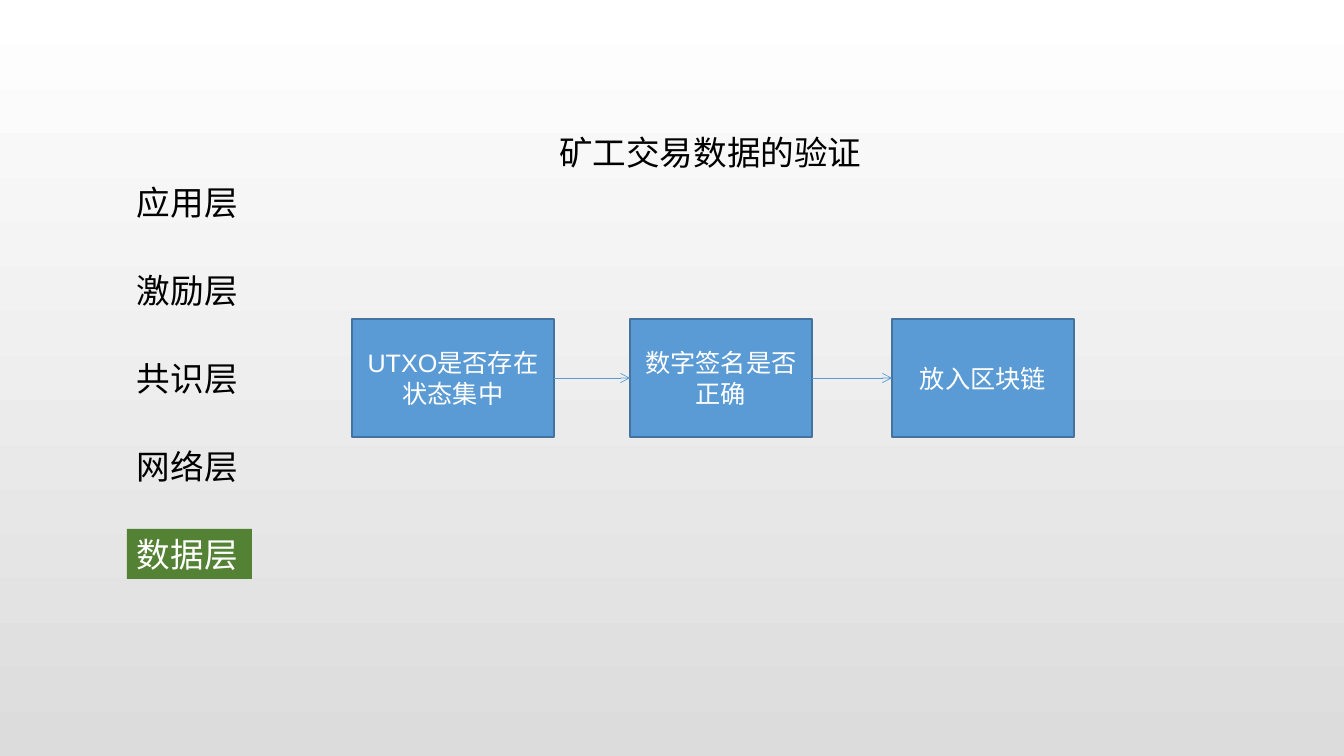
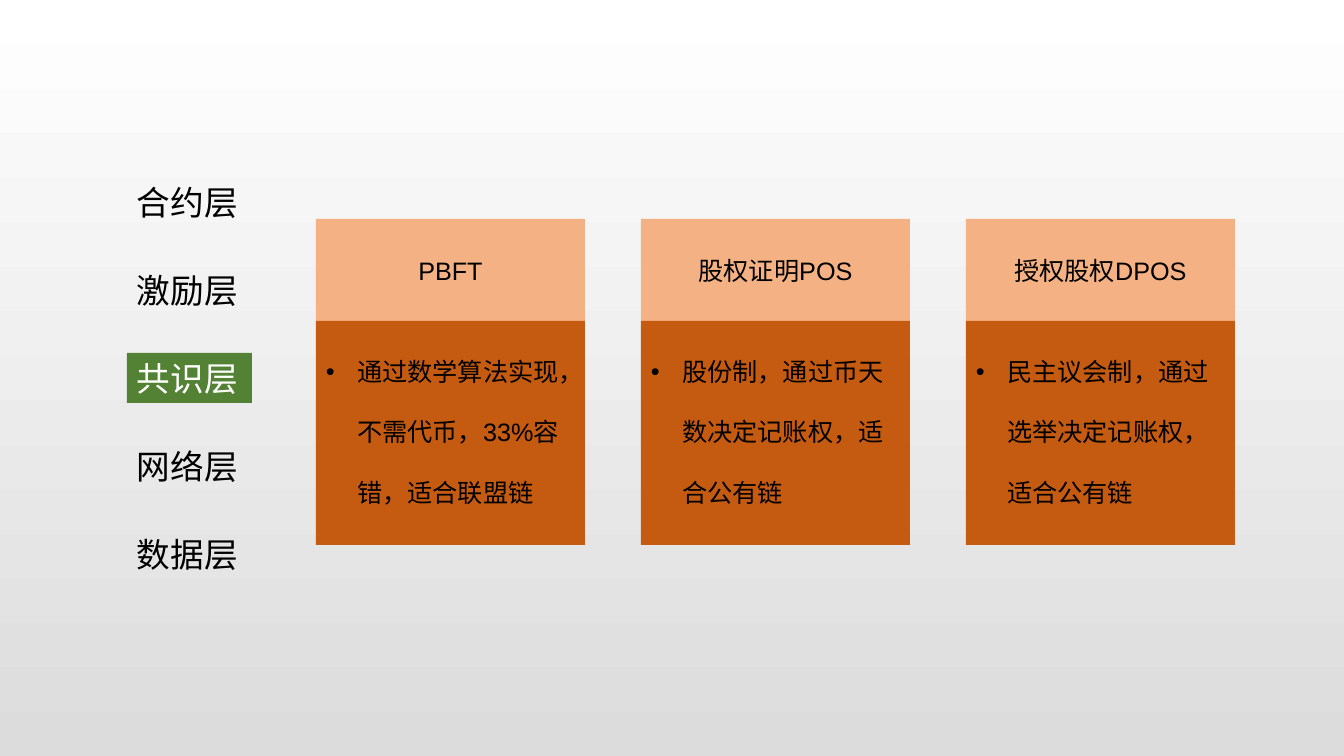
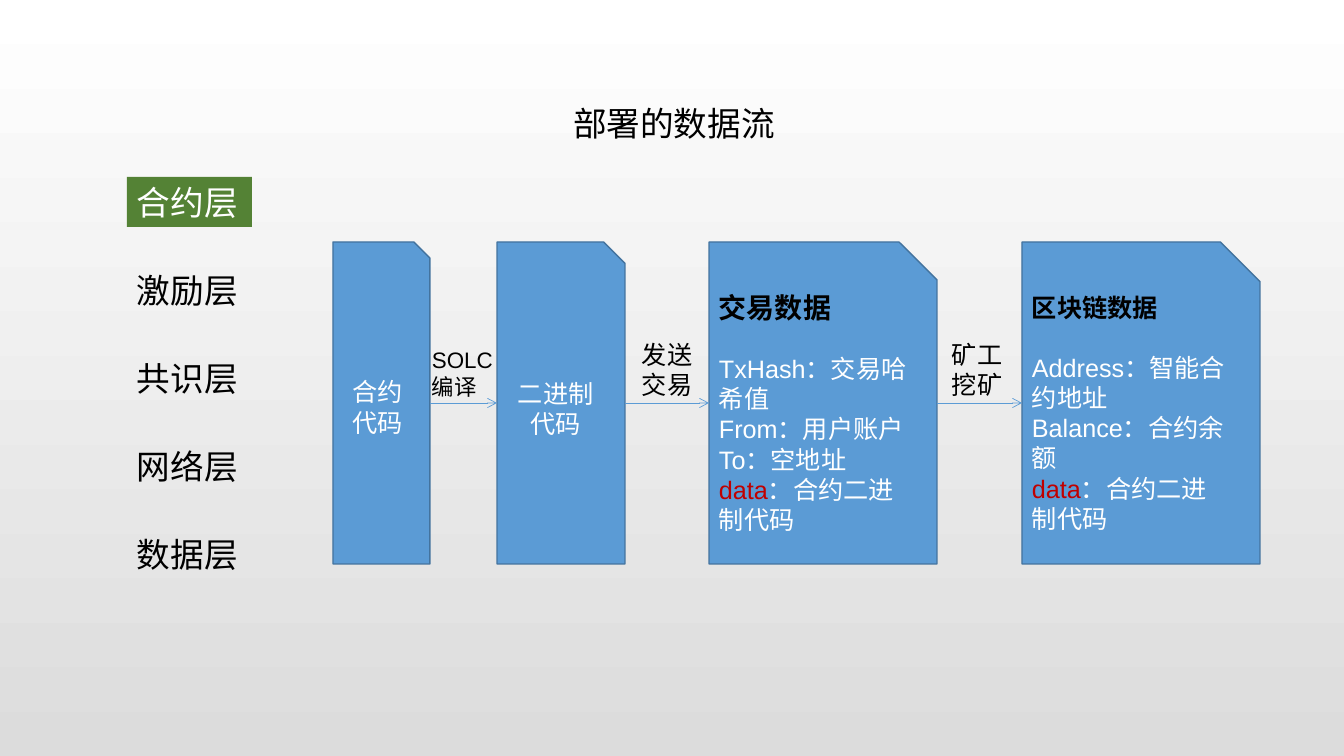
"""Build three slides on the layers of a blockchain."""
from itertools import pairwise

from pptx import Presentation
from pptx.dml.color import RGBColor as Rgb
from pptx.enum.shapes import MSO_CONNECTOR as Link, MSO_SHAPE as Kind
from pptx.enum.text import MSO_ANCHOR as Anchor, MSO_AUTO_SIZE as Auto, PP_ALIGN as Align
from pptx.oxml.ns import qn
from pptx.util import Inches, Pt

PX = Inches(1) / 100.8
WHITE = Rgb(0xFF, 0xFF, 0xFF)
BLACK = Rgb(0, 0, 0)
GREY = Rgb(0xDC, 0xDC, 0xDC)
GREEN = Rgb(0x54, 0x82, 0x35)
BLUE = Rgb(0x5B, 0x9B, 0xD5)
NAVY = Rgb(0x43, 0x73, 0x9E)
PEACH = Rgb(0xF4, 0xB1, 0x83)
RUST = Rgb(0xC5, 0x5A, 0x11)
RED = Rgb(0xC0, 0, 0)
LATIN, HAN = "Arial", "Noto Sans CJK SC"

BASE = ["激励层", "共识层", "网络层", "数据层"]
CHECK = {
    "title": ("矿工交易数据的验证", (549, 127, 489, 50), HAN),
    "top": "应用层", "active": "数据层",
}
VOTE = {"top": "合约层", "active": "共识层"}
DEPLOY = {
    "title": ("部署的数据流", (563, 98, 335, 50), LATIN),
    "top": "合约层", "active": "合约层",
}
STEPS = [
    (352, 202, "UTXO是否存在状态集中"),
    (630, 182, "数字签名是否正确"),
    (892, 182, "放入区块链"),
]
CARDS = [
    ("PBFT", "通过数学算法实现，不需代币，33%容错，适合联盟链"),
    ("股权证明POS", "股份制，通过币天数决定记账权，适合公有链"),
    ("授权股权DPOS", "民主议会制，通过选举决定记账权，适合公有链"),
]
CODE = [("data", {"color": RED}), ("：合约二进制代码", {})]
FILES = [
    (333, 97, "合约代码"),
    (497, 128, "二进制代码"),
    (709, 228, [
        [("交易数据", {"size": 20, "bold": True, "color": BLACK})],
        "TxHash：交易哈希值", "From：用户账户", "To：空地址", CODE]),
    (1022, 238, [
        [("区块链数据", {"bold": True, "color": BLACK})],
        "Address：智能合约地址", "Balance：合约余额", CODE]),
]
NOTES = [
    ((422, 341, 84, 65), "SOLC编译", 16),
    ((632, 334, 81, 72), "发送交易", 18),
    ((942, 334, 86, 72), "矿工挖矿", 18),
]


def scale(*nums):
    return [round(n * PX) for n in nums]


def style(font, size=18, color=BLACK, name=LATIN, bold=False):
    for key, val in {"size": Pt(size), "name": name, "bold": bold}.items():
        setattr(font, key, val)
    font.color.rgb = color


def write(frame, text, align=Align.LEFT, anchor=Anchor.TOP, **form):
    frame.word_wrap = True
    frame.auto_size = Auto.NONE
    frame.vertical_anchor = anchor
    paras = [text] if isinstance(text, str) else text
    for num, runs in enumerate(paras):
        para = frame.add_paragraph() if num else frame.paragraphs[0]
        para.alignment = align
        if num == 1:
            para.space_before = Pt(21)
        for words, extra in [(runs, {})] if isinstance(runs, str) else runs:
            run = para.add_run()
            run.text = words
            style(run.font, **{**form, **extra})
            east = run.font._element.makeelement(qn("a:ea"), {"typeface": HAN})
            run.font._element.append(east)


def label(slide, at, text, **form):
    box = slide.shapes.add_textbox(*scale(*at))
    write(box.text_frame, text, **form)


def block(slide, at, text, fill, line=None, kind=Kind.RECTANGLE, **form):
    box = slide.shapes.add_shape(kind, *scale(*at))
    box.shadow.inherit = False
    box.fill.solid()
    box.fill.fore_color.rgb = fill
    if line:
        box.line.color.rgb = line
        box.line.width = Pt(1)
    else:
        box.line.fill.background()
    write(box.text_frame, text, **form)
    return box


def bullet(para):
    para.line_spacing = 2.0
    props = para._p.get_or_add_pPr()
    props.set("marL", str(Inches(0.31)))
    props.set("indent", str(-Inches(0.31)))
    for tag, key, val in [("a:buFont", "typeface", LATIN), ("a:buChar", "char", "•")]:
        props.append(props.makeelement(qn(tag), {key: val}))


def arrow(slide, left, right, join):
    ends = [left.left + left.width, left.top + left.height // 2,
            right.left, right.top + right.height // 2]
    link = slide.shapes.add_connector(Link.STRAIGHT, *ends)
    if join:
        link.begin_connect(left, 3)
        link.end_connect(right, 1)
    link.line.color.rgb = BLUE
    link.line.width = Pt(0.5)
    line = link.line._get_or_add_ln()
    line.append(line.makeelement(qn("a:tailEnd"), {"type": "arrow"}))
    props = link._element.spPr
    props.append(props.makeelement(qn("a:effectLst"), {}))


def flow(slide, items, top, high, kind):
    boxes = []
    for left, wide, text in items:
        align = Align.CENTER if isinstance(text, str) else Align.LEFT
        boxes.append(block(slide, (left, top, wide, high), text, BLUE, NAVY, kind,
                           align=align, anchor=Anchor.MIDDLE, color=WHITE))
    for left, right in pairwise(boxes):
        arrow(slide, left, right, kind == Kind.RECTANGLE)


def start(deck, top, active, title=None):
    slide = deck.slides.add_slide(deck.slide_layouts[5 if title else 6])
    if title:
        text, at, name = title
        head = slide.shapes.title
        for key, val in zip(("left", "top", "width", "height"), scale(*at)):
            setattr(head, key, val)
        write(head.text_frame, text, size=24, name=name)
    for row, name in enumerate([top, *BASE]):
        at = (127, 177 + 88 * row, 125, 50)
        if name == active:
            block(slide, at, name, GREEN, size=24, color=WHITE)
        else:
            label(slide, at, name, size=24)
    return slide


def main():
    deck = Presentation()
    deck.slide_width, deck.slide_height = scale(1344, 756)
    back = deck.slide_master.background.fill
    back.gradient()
    back.gradient_angle = 270
    for stop, color, spot in zip(back.gradient_stops, (WHITE, GREY), (0, 1)):
        stop.color.rgb = color
        stop.position = spot

    flow(start(deck, **CHECK), STEPS, 319, 118, Kind.RECTANGLE)

    slide = start(deck, **VOTE)
    for col, (name, text) in enumerate(CARDS):
        left = 316 + 325 * col
        block(slide, (left, 219, 269, 102), name, PEACH,
              align=Align.CENTER, anchor=Anchor.MIDDLE)
        body = block(slide, (left, 321, 269, 224), text, RUST)
        bullet(body.text_frame.paragraphs[0])

    slide = start(deck, **DEPLOY)
    flow(slide, FILES, 242, 322, Kind.SNIP_1_RECTANGLE)
    for at, text, size in NOTES:
        label(slide, at, text, size=size)

    deck.save("out.pptx")


if __name__ == "__main__":
    main()
